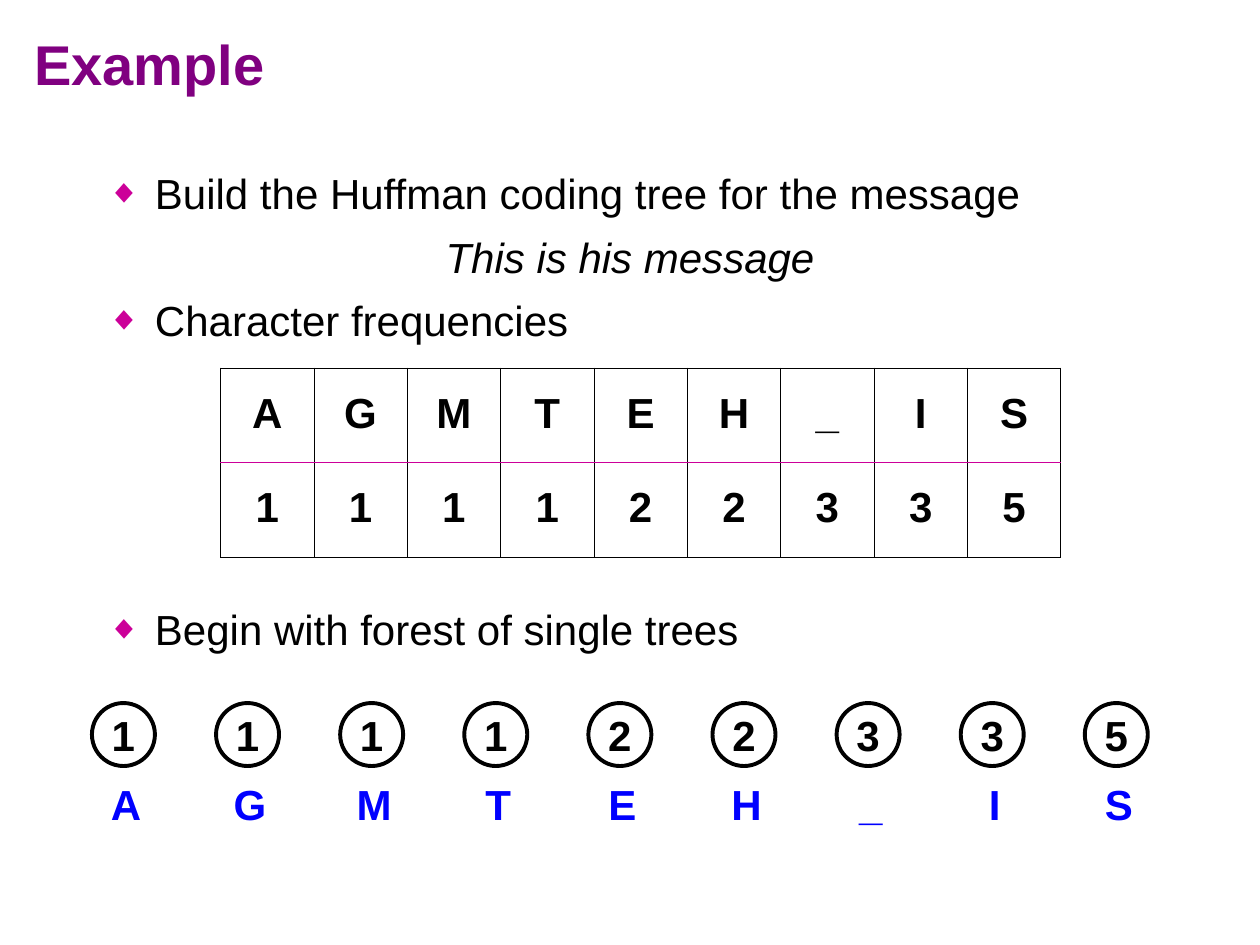
from lxml.etree import SubElement
from pptx import Presentation
from pptx.dml.color import RGBColor
from pptx.enum.shapes import MSO_SHAPE
from pptx.enum.text import MSO_ANCHOR, MSO_AUTO_SIZE, PP_ALIGN
from pptx.oxml.ns import qn
from pptx.util import Inches, Pt

COLORS = {"title": "800080", "text": "000000", "accent": "CC0099", "label": "0000FF"}
TITLE = "Example"
# text, has bullet, space before in points
BODY = [
    ("Build the Huffman coding tree for the message", True, 0),
    ("This is his message", False, 7.4),
    ("Character frequencies", True, 7.4),
    ("Begin with forest of single trees", True, 147.8),
]
# letter, frequency, label width
LETTERS = [
    ("A", 1, 0.44), ("G", 1, 0.46), ("M", 1, 0.48),
    ("T", 1, 0.40), ("E", 2, 0.42), ("H", 2, 0.44),
    ("_", 3, 0.38), ("I", 3, 0.29), ("S", 5, 0.42),
]
TREE_LEFT, TREE_RIGHT, TREE_TOP, NODE, LABEL_TOP = 0.73, 8.61, 5.58, 0.5, 6.13


def place(sp, left, top, width, height):
    sp.left, sp.top, sp.width, sp.height = map(Inches, (left, top, width, height))


def add_text(p, text, color="text", size=24, bold=True, italic=False, align=PP_ALIGN.CENTER):
    p.alignment = align
    r = p.add_run()
    r.text = text
    r.font.name, r.font.size = "Arial", Pt(size)
    r.font.bold, r.font.italic = bold, italic
    r.font.color.rgb = RGBColor.from_string(COLORS[color])


def set_bullet(p, shown):
    pPr = p._p.get_or_add_pPr()
    pPr.set("marL", str(Inches(0.38)))
    pPr.set("indent", str(Inches(-0.38)))
    if not shown:
        SubElement(pPr, qn("a:buNone"))
        return
    clr = SubElement(pPr, qn("a:buClr"))
    SubElement(clr, qn("a:srgbClr"), val=COLORS["accent"])
    SubElement(pPr, qn("a:buSzPct"), val="80000")
    SubElement(pPr, qn("a:buChar"), char="◆")


def set_border(cell, side, color, width):
    ln = SubElement(cell._tc.get_or_add_tcPr(), qn(f"a:ln{side}"), w=str(Pt(width)))
    fill = SubElement(ln, qn("a:solidFill"))
    SubElement(fill, qn("a:srgbClr"), val=COLORS[color])


def add_body(s):
    sp = s.placeholders[1]
    place(sp, 0.75, 1.25, 8.5, 5.75)
    tf = sp.text_frame
    tf.auto_size = MSO_AUTO_SIZE.NONE
    tf.margin_top = Inches(0.08)
    for i, (text, bullet, before) in enumerate(BODY):
        p = tf.add_paragraph() if i else tf.paragraphs[0]
        p.space_before, p.space_after = Pt(before), Pt(0.1)
        set_bullet(p, bullet)
        add_text(p, text, bold=False, italic=not bullet,
                 align=PP_ALIGN.LEFT if bullet else PP_ALIGN.CENTER)


def add_frequencies(s):
    rows = [[letter for letter, _, _ in LETTERS], [str(n) for _, n, _ in LETTERS]]
    last = len(LETTERS) - 1
    tbl = s.shapes.add_table(2, len(LETTERS), Inches(1.75), Inches(2.92),
                             Inches(6.67), Inches(1.5)).table
    tbl.first_row = tbl.horz_banding = False
    for y, row in enumerate(rows):
        for x, text in enumerate(row):
            cell = tbl.cell(y, x)
            cell.vertical_anchor = MSO_ANCHOR.MIDDLE
            set_border(cell, "L", "text", 0.5 if x == 0 else 0.23)
            set_border(cell, "R", "text", 0.5 if x == last else 0.23)
            set_border(cell, "T", "accent" if y else "text", 0.5)
            set_border(cell, "B", "text" if y else "accent", 0.5)
            cell.fill.background()
            p = cell.text_frame.paragraphs[0]
            p.line_spacing = 0.93
            add_text(p, text)


def add_forest(s):
    step = (TREE_RIGHT - TREE_LEFT) / (len(LETTERS) - 1)
    for i, (letter, count, width) in enumerate(LETTERS):
        left = TREE_LEFT + i * step
        node = s.shapes.add_shape(MSO_SHAPE.FLOWCHART_CONNECTOR, Inches(left),
                                  Inches(TREE_TOP), Inches(NODE), Inches(NODE))
        node.shadow.inherit = False
        node.fill.background()
        node.line.color.rgb = RGBColor.from_string(COLORS["text"])
        node.line.width = Pt(2.25)
        tf = node.text_frame
        tf.word_wrap = False
        tf.vertical_anchor = MSO_ANCHOR.MIDDLE
        add_text(tf.paragraphs[0], str(count))
        label = s.shapes.add_textbox(Inches(left + (NODE - width) / 2 + 0.02),
                                     Inches(LABEL_TOP), Inches(width), Inches(0.5))
        label.text_frame.word_wrap = False
        add_text(label.text_frame.paragraphs[0], letter, "label")


def main():
    """Build the Huffman coding example slide."""
    prs = Presentation()
    prs.slide_width, prs.slide_height = Inches(10), Inches(7.5)
    s = prs.slides.add_slide(prs.slide_layouts[1])
    title = s.shapes.title
    place(title, 0.17, 0.04, 9.67, 0.92)
    title.text_frame.auto_size = MSO_AUTO_SIZE.NONE
    title.text_frame.vertical_anchor = MSO_ANCHOR.MIDDLE
    add_text(title.text_frame.paragraphs[0], TITLE, "title", 32, align=PP_ALIGN.LEFT)
    add_body(s)
    add_frequencies(s)
    add_forest(s)
    prs.save("out.pptx")


if __name__ == "__main__":
    main()
